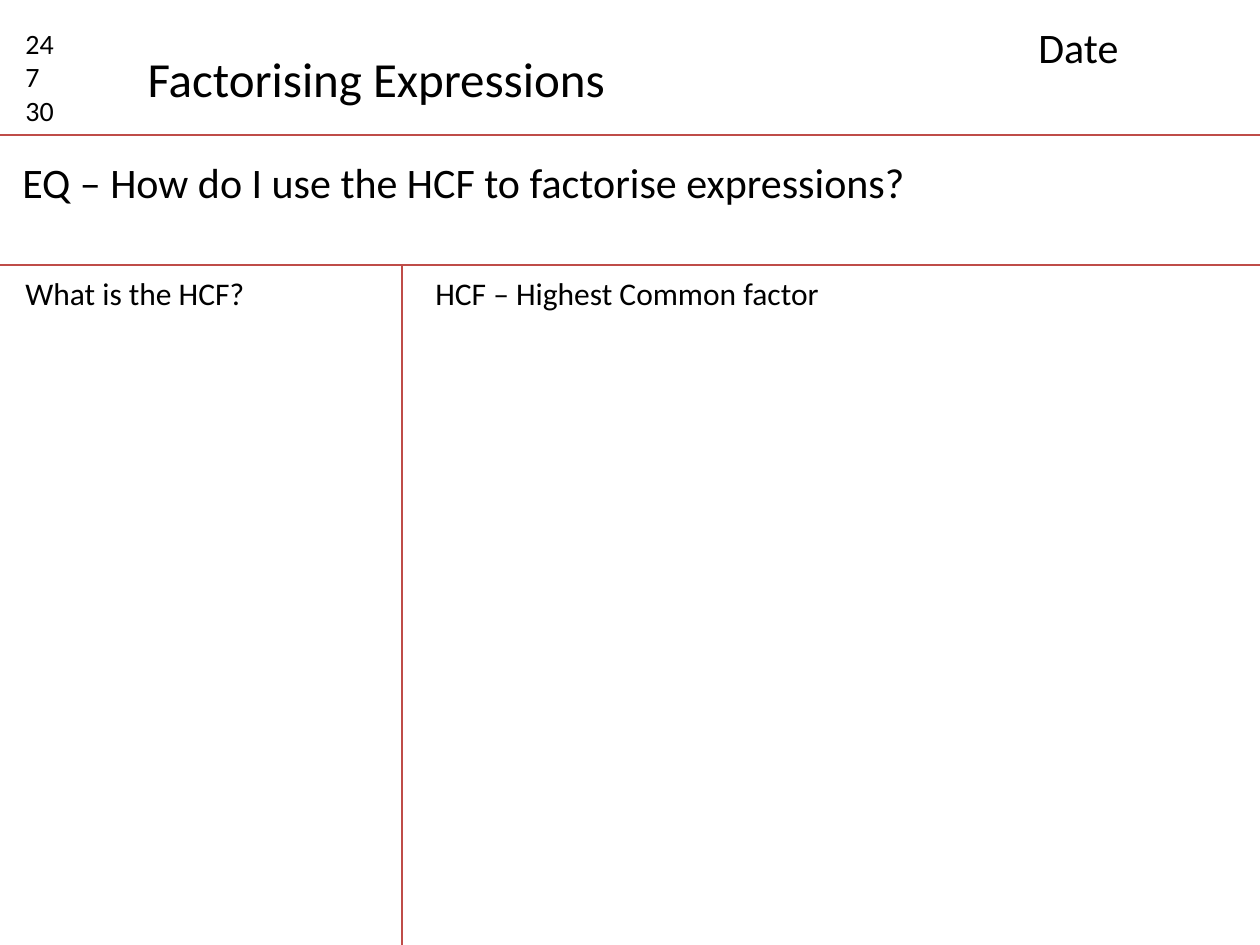
from typing import NamedTuple

from lxml import etree
from pptx import Presentation
from pptx.dml.color import RGBColor
from pptx.enum.shapes import MSO_CONNECTOR
from pptx.enum.text import MSO_ANCHOR, MSO_AUTO_SIZE, PP_ALIGN
from pptx.oxml.ns import qn
from pptx.util import Emu, Pt

STRAIGHT = MSO_CONNECTOR.STRAIGHT
TOP = MSO_ANCHOR.TOP
LEFT = PP_ALIGN.LEFT
GROW = MSO_AUTO_SIZE.SHAPE_TO_FIT_TEXT

EMU_PER_PX = 914400 / 126
PAGE_WIDTH, PAGE_HEIGHT = 1260, 945
HEADER_BOTTOM, QUESTION_BOTTOM, MARGIN_X = 135, 265, 402
NOTES_TOP = 268
RULE_COLOUR = "BF4C48"
TEXT_COLOUR = "000000"


class Rule(NamedTuple):
    x1: int
    y1: int
    x2: int
    y2: int


class Label(NamedTuple):
    x: int
    y: int
    width: int
    height: int
    size: int
    lines: tuple[str, ...]
    wrap: bool = True


RULES = [
    Rule(0, HEADER_BOTTOM, PAGE_WIDTH, HEADER_BOTTOM),
    Rule(0, QUESTION_BOTTOM, PAGE_WIDTH, QUESTION_BOTTOM),
    Rule(MARGIN_X, QUESTION_BOTTOM, MARGIN_X, PAGE_HEIGHT),
]
TITLE = Label(135, 42, 499, 72, 28, ("Factorising Expressions",), wrap=False)
LABELS = [
    Label(13, 20, 79, 115, 16, ("24", "7", "30")),
    Label(1026, 15, 218, 63, 24, ("Date",)),
    Label(10, 150, 1121, 63, 24,
          ("EQ – How do I use the HCF to factorise expressions?",)),
    Label(13, NOTES_TOP, 247, 50, 18, ("What is the HCF?",), wrap=False),
    Label(423, NOTES_TOP, 413, 50, 18, ("HCF – Highest Common factor",), wrap=False),
]


def px(length: int) -> Emu:
    return Emu(round(length * EMU_PER_PX))


def colour(value: str) -> RGBColor:
    return RGBColor.from_string(value)


def draw_rule(page, rule: Rule) -> None:
    line = page.shapes.add_connector(STRAIGHT, *map(px, rule))
    line.line.color.rgb = colour(RULE_COLOUR)
    line.line.width = Pt(0.75)
    etree.SubElement(line._element.spPr, qn("a:effectLst"))


def fill_box(box, label: Label) -> None:
    box.left, box.top = px(label.x), px(label.y)
    box.width, box.height = px(label.width), px(label.height)
    frame = box.text_frame
    frame.text = "\n".join(label.lines)
    frame.word_wrap = label.wrap
    frame.auto_size = GROW
    frame.vertical_anchor = TOP
    for para in frame.paragraphs:
        para.alignment = LEFT
        para.font.name = "Calibri"
        para.font.size = Pt(label.size)
        para.font.color.rgb = colour(TEXT_COLOUR)


def main() -> None:
    deck = Presentation()
    deck.slide_width, deck.slide_height = px(PAGE_WIDTH), px(PAGE_HEIGHT)
    page = deck.slides.add_slide(deck.slide_layouts.get_by_name("Title Only"))

    # Ruled lines of the note page
    for rule in RULES:
        draw_rule(page, rule)

    # Title, then the remaining text
    fill_box(page.shapes.title, TITLE)
    for label in LABELS:
        fill_box(page.shapes.add_textbox(0, 0, 0, 0), label)

    deck.save("out.pptx")


if __name__ == "__main__":
    main()
